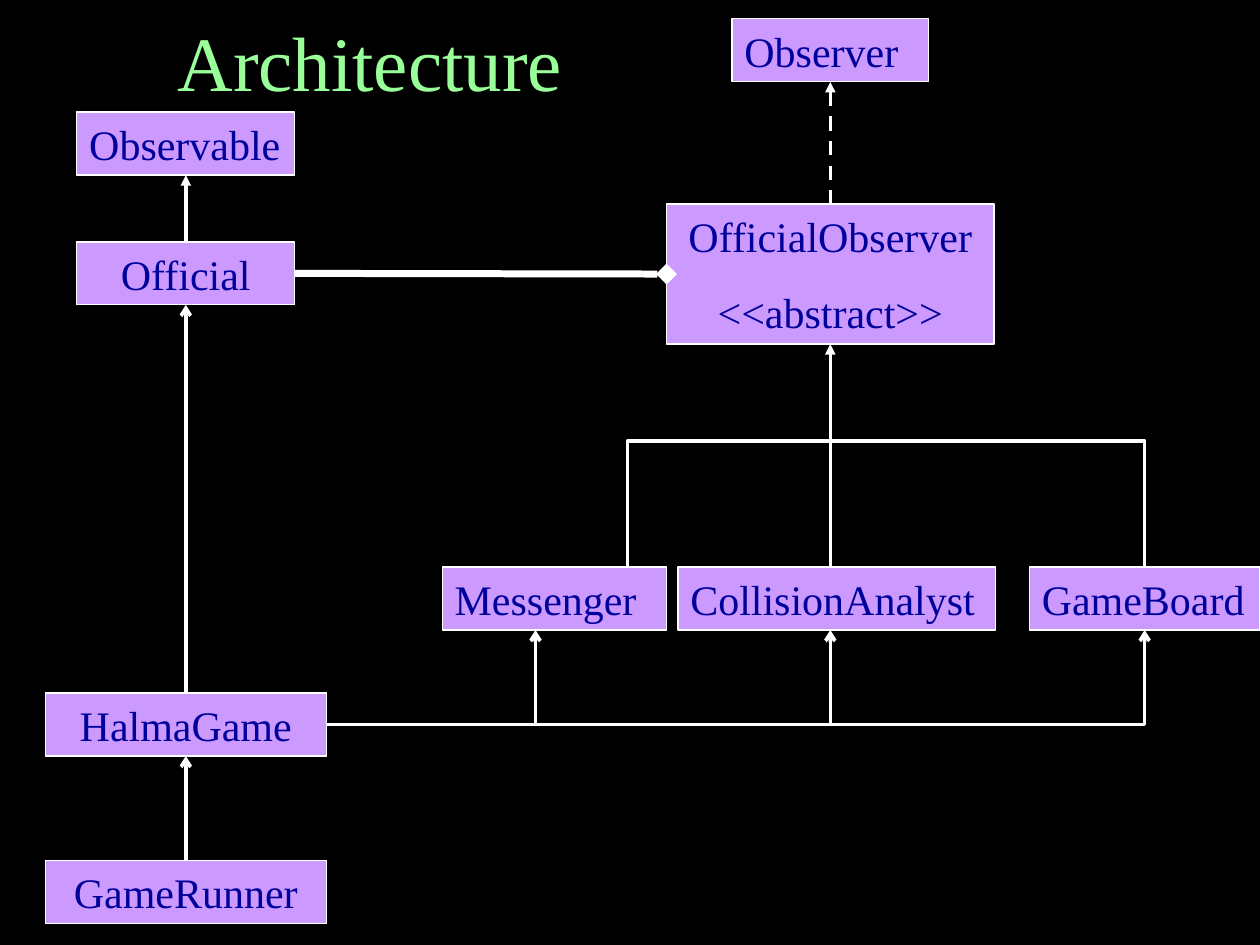
from lxml import etree
from pptx import Presentation
from pptx.dml.color import RGBColor
from pptx.enum.dml import MSO_LINE
from pptx.enum.shapes import MSO_CONNECTOR, MSO_SHAPE
from pptx.enum.text import MSO_ANCHOR, MSO_AUTO_SIZE, PP_ALIGN
from pptx.oxml.ns import qn
from pptx.util import Emu, Inches, Pt

BLACK = RGBColor(0x00, 0x00, 0x00)
WHITE = RGBColor(0xFF, 0xFF, 0xFF)
LILAC = RGBColor(0xCC, 0x99, 0xFF)
NAVY = RGBColor(0x00, 0x00, 0x9A)
MINT = RGBColor(0x99, 0xFF, 0x99)
LEFT, CENTER = PP_ALIGN.LEFT, PP_ALIGN.CENTER
STRAIGHT, ELBOW = MSO_CONNECTOR.STRAIGHT, MSO_CONNECTOR.ELBOW
RECTANGLE = MSO_SHAPE.RECTANGLE
TOP, BOTTOM = MSO_ANCHOR.TOP, MSO_ANCHOR.BOTTOM
FIT_SHAPE = MSO_AUTO_SIZE.SHAPE_TO_FIT_TEXT
DASH = MSO_LINE.DASH
TOP_SITE, LEFT_SITE, BOTTOM_SITE, RIGHT_SITE = range(4)

FONT = "Times New Roman"
SLIDE_WIDTH, SLIDE_HEIGHT = Inches(10), Inches(7.5)
COLUMNS = 100
CELL = SLIDE_WIDTH / COLUMNS
NODE_ROWS = 5


def cells(count):
    """Return the length of a number of grid cells."""
    return Emu(round(count * CELL))


def style_paragraph(paragraph, size, color, alignment):
    """Set the font and alignment of a paragraph."""
    paragraph.alignment = alignment
    paragraph.font.name = FONT
    paragraph.font.size = Pt(size)
    paragraph.font.color.rgb = color


def add_node(slide, text, box, alignment):
    """Add a class box at the given left, top, width and height in cells."""
    shape = slide.shapes.add_shape(RECTANGLE, *map(cells, box))
    shape.shadow.inherit = False
    shape.fill.solid()
    shape.fill.fore_color.rgb = LILAC
    shape.line.color.rgb = WHITE
    shape.line.width = Pt(0.75)
    frame = shape.text_frame
    frame.text = text
    frame.word_wrap = True
    frame.auto_size = FIT_SHAPE
    frame.vertical_anchor = TOP
    for paragraph in frame.paragraphs:
        style_paragraph(paragraph, 24, NAVY, alignment)
        paragraph.space_before = Pt(15)
    return shape


def add_link(slide, start, end, head=None, width=2, kind=STRAIGHT):
    """Link two ends, each a point or a pair of shape and connection site."""
    start_joined, end_joined = (not isinstance(place[0], int) for place in (start, end))
    start_point = (0, 0) if start_joined else start
    end_point = (0, 0) if end_joined else end
    connector = slide.shapes.add_connector(kind, *start_point, *end_point)
    if start_joined:
        connector.begin_connect(*start)
    if end_joined:
        connector.end_connect(*end)
    connector.line.color.rgb = WHITE
    connector.line.width = Pt(width)
    properties = connector._element.spPr
    if head:
        etree.SubElement(properties.find(qn("a:ln")), qn("a:headEnd"), type=head)
    etree.SubElement(properties, qn("a:effectLst"))
    return connector


def add_corner(slide, start, end):
    """Add an elbow that runs sideways first and then down to its end."""
    connector = add_link(slide, start, end, kind=ELBOW)
    values = connector._element.spPr.find(qn("a:prstGeom")).find(qn("a:avLst"))
    etree.SubElement(values, qn("a:gd"), name="adj1", fmla="val 100000")


def add_title(slide, box):
    """Add the slide title."""
    frame = slide.shapes.add_textbox(*map(cells, box)).text_frame
    frame.word_wrap = True
    frame.vertical_anchor = BOTTOM
    frame.text = "Architecture"
    style_paragraph(frame.paragraphs[0], 44, MINT, LEFT)


def add_game_column(slide, box):
    """Stack the game classes, centred in the box, and link each to the one above."""
    left, top, width, height = box
    nodes = []
    for text, node_width, row, alignment in (
        ("Observable", 17.3, 0, LEFT),
        ("Official", 17.3, 10.3, CENTER),
        ("HalmaGame", width, 46.1, CENTER),
        ("GameRunner", width, height - NODE_ROWS, CENTER),
    ):
        node_box = (left + (width - node_width) / 2, top + row, node_width, NODE_ROWS)
        nodes.append(add_node(slide, text, node_box, alignment))
    for upper, lower, head in zip(nodes, nodes[1:], ("triangle", "arrow", "arrow")):
        add_link(slide, (upper, BOTTOM_SITE), (lower, TOP_SITE), head)
    return nodes


def add_observer_column(slide, box):
    """Add the observer interface above the abstract class that implements it."""
    left, top, width, height = box
    node_width, abstract_rows = 15.6, 11.1
    observer_box = (left + (width - node_width) / 2, top, node_width, NODE_ROWS)
    observer = add_node(slide, "Observer", observer_box, LEFT)
    abstract_box = (left, top + height - abstract_rows, width, abstract_rows)
    abstract = add_node(slide, "OfficialObserver\n<<abstract>>", abstract_box, CENTER)
    link = add_link(slide, (observer, BOTTOM_SITE), (abstract, TOP_SITE), "triangle")
    link.line.dash_style = DASH
    return abstract


def add_subclass_row(slide, box, parent, user):
    """Add the subclasses, their tree up to the parent and the links of their user."""
    left, top, width, height = box
    for text, column, node_width in (
        ("Messenger", 0, 17.8),
        ("CollisionAnalyst", 18.7, 25.2),
        ("GameBoard", width - 18.3, 18.3),
    ):
        add_node(slide, text, (left + column, top, node_width, height), LEFT)
    trunk = cells(left + 30.8)
    branch, top_edge = cells(top - 10), cells(top)
    bottom_edge, rail = cells(top + height), cells(top + height + 7.5)
    last = cells(left + 55.75)
    add_link(slide, (parent, BOTTOM_SITE), (trunk, top_edge), "triangle")
    for branch_end in (cells(left + 14.7), last):
        add_corner(slide, (trunk, branch), (branch_end, top_edge))
    for arrow in (cells(left + 7.4), trunk, last):
        add_link(slide, (arrow, bottom_edge), (arrow, rail), "arrow")
    add_link(slide, (last, rail), (user, RIGHT_SITE))


def build():
    """Build the architecture slide and save it."""
    presentation = Presentation()
    presentation.slide_width, presentation.slide_height = SLIDE_WIDTH, SLIDE_HEIGHT
    slide = presentation.slides.add_slide(presentation.slide_layouts[6])
    slide.background.fill.solid()
    slide.background.fill.fore_color.rgb = BLACK
    add_title(slide, (13.1, 1.5, 43.9, 7.5))
    _, official, game, _ = add_game_column(slide, (3.6, 8.9, 22.3, 64.4))
    abstract = add_observer_column(slide, (52.9, 1.5, 26, 25.8))
    add_link(slide, (abstract, LEFT_SITE), (official, RIGHT_SITE), "diamond", 4)
    add_subclass_row(slide, (35.1, 45, 64.9, NODE_ROWS), abstract, game)
    presentation.save("out.pptx")


if __name__ == "__main__":
    build()
